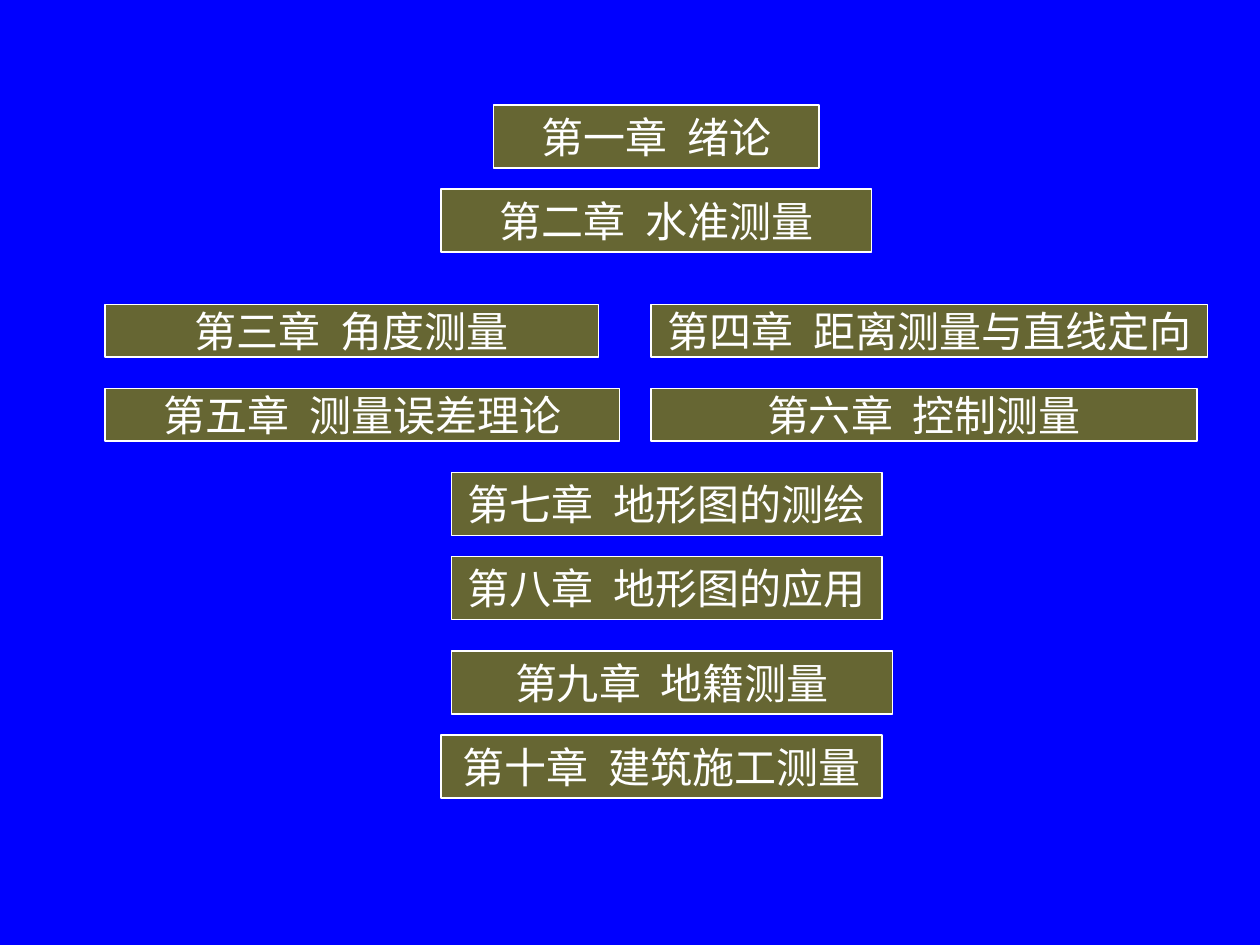
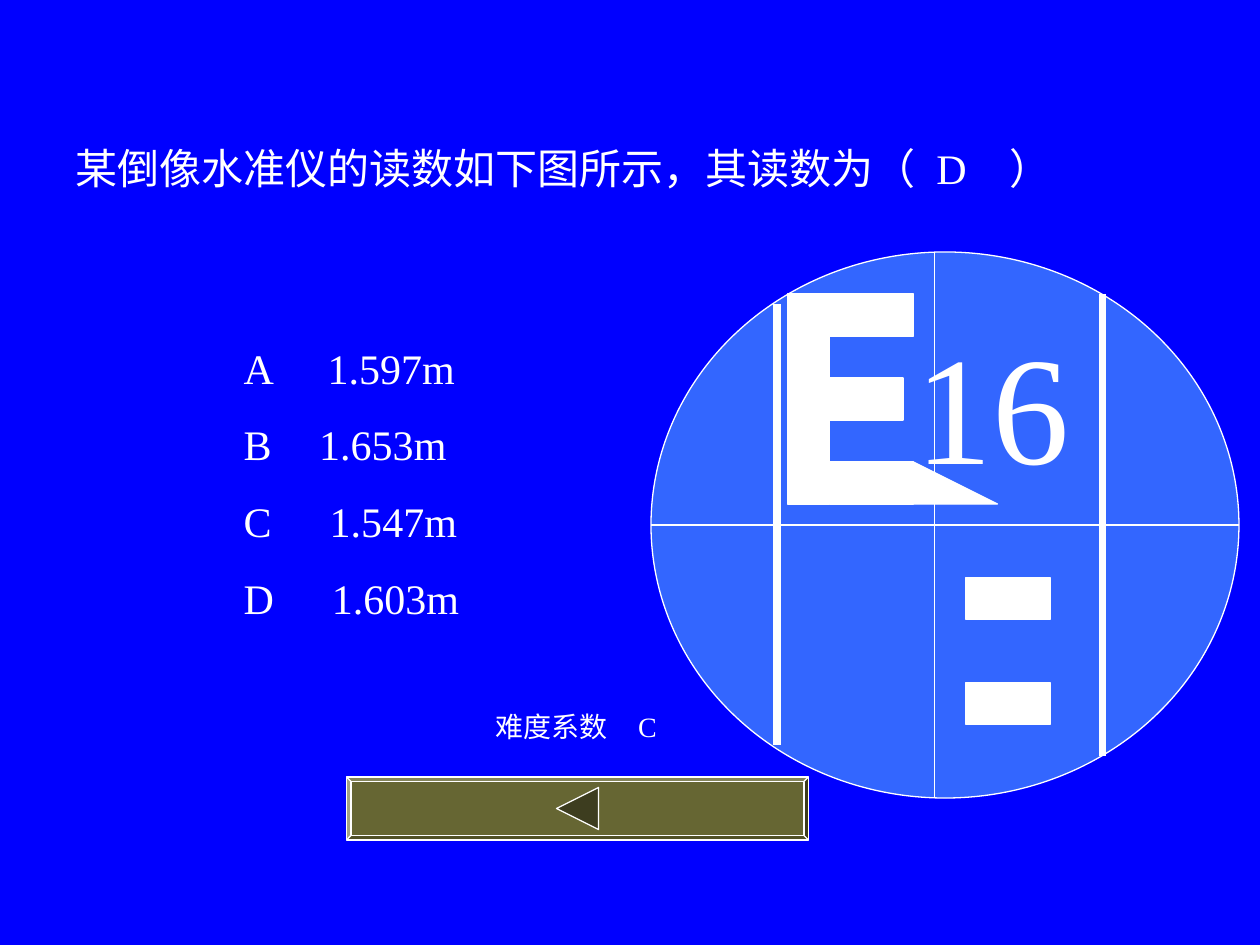
"""Build two slides on surveying: a chapter menu and a staff reading quiz."""
from lxml.etree import SubElement as Sub
from pptx import Presentation
from pptx.dml.color import RGBColor as Rgb
from pptx.enum.shapes import MSO_CONNECTOR as Conn, MSO_SHAPE as Kind
from pptx.enum.text import MSO_ANCHOR as Anchor, PP_ALIGN as Align
from pptx.oxml.ns import qn
from pptx.util import Pt

PX = 7620
COLOR = {"back": "0000FF", "olive": "666633", "dark": "3D3D1F",
         "lens": "3366FF", "white": "FFFFFF"}
LATIN = "Times New Roman"
HAN = "Noto Sans CJK SC"

CHAPTERS = [
    ("第一章", "绪论", 470, 100, 310, 60),
    ("第二章", "水准测量", 420, 180, 410, 60),
    ("第三章", "角度测量", 100, 290, 470, 50),
    ("第四章", "距离测量与直线定向", 620, 290, 530, 50),
    ("第五章", "测量误差理论", 100, 370, 490, 50),
    ("第六章", "控制测量", 620, 370, 520, 50),
    ("第七章", "地形图的测绘", 430, 450, 410, 60),
    ("第八章", "地形图的应用", 430, 530, 410, 60),
    ("第九章", "地籍测量", 430, 620, 420, 60),
    ("第十章", "建筑施工测量", 420, 700, 420, 60),
]
CHOICES = [("A", "1.597m", 80), ("B", "1.653m", 72),
           ("C", "1.547m", 82), ("D", "1.603m", 84)]
BARS = [(750, 280, 120, 40), (750, 320, 40, 160), (790, 360, 70, 40),
        (790, 440, 80, 40), (920, 550, 80, 40), (920, 650, 80, 40)]


def emu(*sizes):
    """Turn px lengths into EMU."""
    return [size * PX for size in sizes]


def rgb(name):
    """Look up a named colour."""
    return Rgb.from_string(COLOR[name])


def paint(shape, fill):
    """Give a shape a flat fill and a thin white outline."""
    shape.shadow.inherit = False
    shape.fill.solid()
    shape.fill.fore_color.rgb = rgb(fill)
    shape.line.color.rgb = rgb("white")
    shape.line.width = Pt(0.75)
    return shape


def add_page(deck):
    """Add a blank slide with the shared background."""
    page = deck.slides.add_slide(deck.slide_layouts[6])
    page.background.fill.solid()
    page.background.fill.fore_color.rgb = rgb("back")
    return page


def add_form(page, kind, box, fill):
    """Add a painted preset shape."""
    return paint(page.shapes.add_shape(kind, *emu(*box)), fill)


def add_line(page, ends, width=0.75):
    """Add a straight white line."""
    line = page.shapes.add_connector(Conn.STRAIGHT, *emu(*ends))
    line.line.color.rgb = rgb("white")
    line.line.width = Pt(width)
    Sub(line._element.spPr, qn("a:effectLst"))


def add_run(para, text, size=24, latin=LATIN, gap=0):
    """Add a white run, with optional letter spacing in points."""
    run = para.add_run()
    run.text = text
    run.font.size = Pt(size)
    run.font.name = latin
    run.font.color.rgb = rgb("white")
    Sub(run._r.rPr, qn("a:ea"), typeface=HAN)
    if gap:
        run._r.rPr.set("spc", str(gap * 100))


def add_tab(para, place):
    """Set one left tab stop."""
    tabs = Sub(para._p.get_or_add_pPr(), qn("a:tabLst"))
    Sub(tabs, qn("a:tab"), pos=str(place * PX), algn="l")


def add_text(page, box):
    """Add a wrapping text box and return its frame."""
    frame = page.shapes.add_textbox(*emu(*box)).text_frame
    frame.word_wrap = True
    return frame


def add_label(page, box, text, size=24, latin=LATIN, tab=0):
    """Add a text box holding one paragraph."""
    para = add_text(page, box).paragraphs[0]
    if tab:
        add_tab(para, tab)
    add_run(para, text, size, latin)


def add_chapter(page, number, title, *box):
    """Add one chapter button."""
    frame = add_form(page, Kind.RECTANGLE, box, "olive").text_frame
    frame.word_wrap = False
    frame.vertical_anchor = Anchor.MIDDLE
    para = frame.paragraphs[0]
    para.alignment = Align.CENTER
    add_run(para, number)
    add_run(para, " ", gap=6)
    add_run(para, title)


def add_choices(page):
    """Add the list of answers."""
    frame = add_text(page, (150, 320, 390, 280))
    frame.margin_left = 82 * PX
    for row, (letter, value, stop) in enumerate(CHOICES):
        para = frame.add_paragraph() if row else frame.paragraphs[0]
        if row:
            para.space_before = Pt(15)
        add_tab(para, stop)
        add_run(para, letter)
        add_run(para, "\t" + value)


def add_view(page):
    """Add the lens with the staff and its marks."""
    add_form(page, Kind.OVAL, (620, 240, 560, 520), "lens")
    add_line(page, (740, 290, 740, 710), 4.5)
    add_line(page, (1050, 280, 1050, 720), 4.5)
    for bar in BARS:
        add_form(page, Kind.RECTANGLE, bar, "white")
    add_form(page, Kind.RIGHT_TRIANGLE, (870, 440, 80, 40), "white")
    add_label(page, (860, 290, 190, 188), "16", 88)
    add_line(page, (890, 240, 890, 760))
    add_line(page, (620, 500, 1180, 500))


def add_back(page):
    """Add the bevelled back button with its arrow."""
    button = add_form(page, Kind.BEVEL, (330, 740, 440, 60), "olive")
    button.adjustments[0] = 0.07
    pen = page.shapes.build_freeform(530, 770, scale=PX)
    pen.add_line_segments([(570, 750), (570, 790)])
    paint(pen.convert_to_shape(), "dark")


def main():
    """Build and save the deck."""
    deck = Presentation()
    deck.slide_width, deck.slide_height = emu(1200, 900)

    menu = add_page(deck)
    for chapter in CHAPTERS:
        add_chapter(menu, *chapter)

    quiz = add_page(deck)
    add_label(quiz, (60, 130, 1030, 60),
              "某倒像水准仪的读数如下图所示，其读数为（\t）", latin=HAN, tab=890)
    add_view(quiz)
    add_choices(quiz)
    add_label(quiz, (880, 130, 60, 60), "D")
    add_back(quiz)
    add_label(quiz, (460, 670, 190, 44), "难度系数\tC", 16, tab=136)
    deck.save("out.pptx")


if __name__ == "__main__":
    main()
